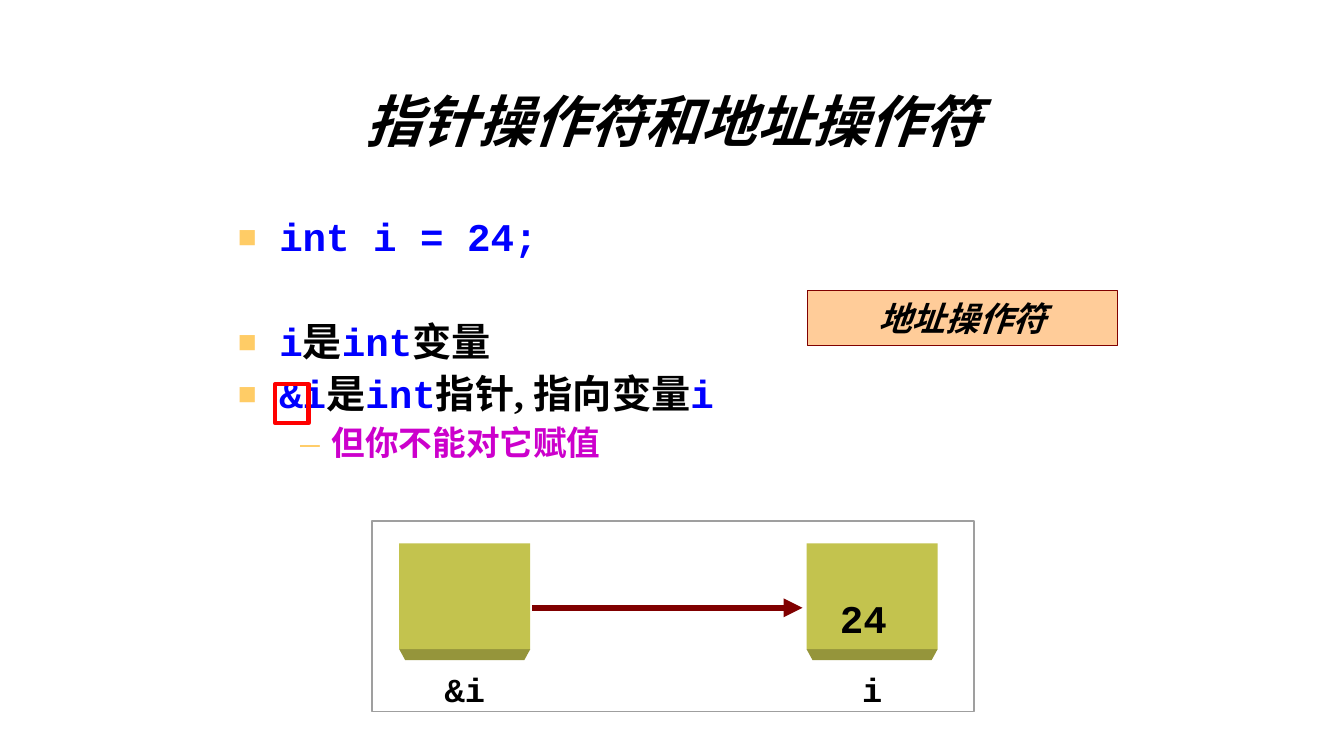
import lxml.etree
import pptx
import pptx.dml.color
import pptx.enum.shapes
import pptx.enum.text
import pptx.oxml.ns
import pptx.util

COLORS = {
    "text": "000000", "code": "0000FF", "note": "CC00CC", "bullet": "FFCC66",
    "frame": "9F9F9F", "cell": "C3C34E", "bevel": "95953B", "arrow": "800000",
    "callout": "FFCC99", "marker": "FF0000",
}
CODE_FONT, TEXT_FONT = "Courier New", "Times New Roman"
CENTER = pptx.enum.text.PP_ALIGN.CENTER
MIDDLE = pptx.enum.text.MSO_ANCHOR.MIDDLE
RECTANGLE = pptx.enum.shapes.MSO_SHAPE.RECTANGLE
inches = pptx.util.Inches


def rgb(name):
    """Return the named colour."""
    return pptx.dml.color.RGBColor.from_string(COLORS[name])


def add_xml(parent, tag, **attributes):
    """Append a drawing element and return it."""
    return lxml.etree.SubElement(parent, pptx.oxml.ns.qn(tag), attributes)


def place(shape, box):
    """Move a shape to a box given in inches."""
    shape.left, shape.top, shape.width, shape.height = map(inches, box)


def set_font(font, name, size, color="text", italic=False):
    """Apply a bold font."""
    font.name, font.size, font.bold, font.italic = name, pptx.util.Pt(size), True, italic
    font.color.rgb = rgb(color)


def paint(shape, fill=None, line=None, width=1):
    """Set fill and outline and remove the shadow."""
    shape.shadow.inherit = False
    if fill:
        shape.fill.solid()
        shape.fill.fore_color.rgb = rgb(fill)
    else:
        shape.fill.background()
    if line:
        shape.line.color.rgb = rgb(line)
        shape.line.width = pptx.util.Pt(width)
    else:
        shape.line.fill.background()


def add_rectangle(slide, box, **style):
    """Draw a painted rectangle."""
    shape = slide.shapes.add_shape(RECTANGLE, *map(inches, box))
    paint(shape, **style)
    return shape


def add_title(slide, box, text):
    """Fill the title with shadowed italic text."""
    title = slide.shapes.title
    place(title, box)
    frame = title.text_frame
    frame.auto_size = pptx.enum.text.MSO_AUTO_SIZE.NONE
    frame.vertical_anchor = MIDDLE
    paragraph = frame.paragraphs[0]
    paragraph.alignment, paragraph.line_spacing = CENTER, 0.85
    run = paragraph.add_run()
    run.text = text
    set_font(run.font, TEXT_FONT, 40, italic=True)
    effects = lxml.etree.Element(pptx.oxml.ns.qn("a:effectLst"))
    shadow = add_xml(effects, "a:outerShdw", dist="38100", dir="2700000", algn="tl")
    add_xml(shadow, "a:srgbClr", val=COLORS["text"])
    run.font.fill._xPr.find(pptx.oxml.ns.qn("a:solidFill")).addnext(effects)


def add_bullet(paragraph, character, percent, indent, hanging):
    """Give a paragraph a coloured hanging bullet."""
    properties = paragraph._p.get_or_add_pPr()
    properties.set("marL", str(inches(indent)))
    properties.set("indent", str(-inches(hanging)))
    add_xml(add_xml(properties, "a:buClr"), "a:srgbClr", val=COLORS["bullet"])
    add_xml(properties, "a:buSzPct", val=str(percent * 1000))
    add_xml(properties, "a:buFont", typeface=TEXT_FONT)
    add_xml(properties, "a:buChar", char=character)


def add_body(slide, box, items):
    """Fill the body with items of level, space before and styled runs."""
    body = slide.placeholders[1]
    place(body, box)
    frame = body.text_frame
    frame.auto_size = pptx.enum.text.MSO_AUTO_SIZE.NONE
    levels = [("■", 80, 0.41, 0.41, 28), ("–", 115, 0.93, 0.31, 24)]
    styles = {"code": CODE_FONT, "text": TEXT_FONT, "note": TEXT_FONT}
    for index, (level, space, runs) in enumerate(items):
        paragraph = frame.add_paragraph() if index else frame.paragraphs[0]
        *bullet, size = levels[level]
        paragraph.level = level
        add_bullet(paragraph, *bullet)
        paragraph.line_spacing = 0.95
        paragraph.space_before = pptx.util.Pt(space)
        set_font(paragraph.font, styles[runs[0][0]], size, runs[0][0])
        for style, text in runs:
            run = paragraph.add_run()
            run.text = text
            if len(runs) > 1:
                run.font.name = styles[style]
                run.font.color.rgb = rgb(style)


def add_callout(slide, box, text):
    """Draw the framed operator name."""
    callout = add_rectangle(slide, box, fill="callout", line="arrow", width=0.75)
    callout.text_frame.vertical_anchor = MIDDLE
    paragraph = callout.text_frame.paragraphs[0]
    paragraph.text, paragraph.alignment = text, CENTER
    set_font(paragraph.font, TEXT_FONT, 24, italic=True)


def add_memory_cell(slide, box, label, value=""):
    """Draw a bevelled memory cell with its value and a label below."""
    left, top, width, height = box
    bottom, slant, depth = top + height, 0.06, 0.11
    corners = [(left, bottom), (left + width, bottom),
               (left + width - slant, bottom + depth), (left + slant, bottom + depth)]
    points = [(inches(x), inches(y)) for x, y in corners]
    builder = slide.shapes.build_freeform(*points[0])
    builder.add_line_segments(points[1:])
    paint(builder.convert_to_shape(), fill="bevel")
    cell = add_rectangle(slide, box, fill="cell")
    if value:
        frame = cell.text_frame
        frame.vertical_anchor = pptx.enum.text.MSO_ANCHOR.BOTTOM
        frame.margin_left, frame.margin_bottom = inches(0.33), inches(0.08)
        paragraph = frame.paragraphs[0]
        paragraph.text, paragraph.alignment = value, pptx.enum.text.PP_ALIGN.LEFT
        set_font(paragraph.font, CODE_FONT, 28)
    caption = slide.shapes.add_textbox(*map(inches, (left, top + 1.2, width, 0.5)))
    caption.text_frame.word_wrap = True
    paragraph = caption.text_frame.paragraphs[0]
    paragraph.text, paragraph.alignment = label, CENTER
    set_font(paragraph.font, CODE_FONT, 24)


def add_memory_diagram(slide, box):
    """Draw the pointer cell, the variable cell and the arrow between them."""
    left, top, width, height = box
    add_rectangle(slide, box, line="frame")
    cell_width, cell_height, cell_top = 1.3, 1.05, top + 0.22
    pointer_left, variable_left = left + 0.27, left + 4.31
    add_memory_cell(slide, (pointer_left, cell_top, cell_width, cell_height), "&i")
    add_memory_cell(slide, (variable_left, cell_top, cell_width, cell_height), "i", "24")
    arrow_y = inches(top + 0.86)
    arrow = slide.shapes.add_connector(
        pptx.enum.shapes.MSO_CONNECTOR.STRAIGHT, inches(pointer_left + cell_width + 0.02),
        arrow_y, inches(variable_left - 0.04), arrow_y)
    arrow.line.color.rgb = rgb("arrow")
    arrow.line.width = pptx.util.Pt(4.5)
    add_xml(arrow.line._get_or_add_ln(), "a:tailEnd", type="triangle")
    add_xml(arrow._element.spPr, "a:effectLst")


def main():
    """Build and save the slide."""
    presentation = pptx.Presentation()
    presentation.slide_width, presentation.slide_height = inches(13.33), inches(7.5)
    slide = presentation.slides.add_slide(presentation.slide_layouts[1])
    add_title(slide, (2.41, 0.78, 8.53, 0.92), "指针操作符和地址操作符")
    add_body(slide, (2.26, 2.09, 9.41, 3.31), [
        (0, 0, [("code", "int i = 24;")]),
        (0, 43, [("code", "i"), ("text", "是"), ("code", "int"), ("text", "变量")]),
        (0, 5.6, [("code", "&i"), ("text", "是"), ("code", "int"),
                  ("text", "指针, 指向变量"), ("code", "i")]),
        (1, 4.8, [("note", "但你不能对它赋值")]),
    ])
    add_memory_diagram(slide, (3.69, 5.17, 5.97, 1.89))
    add_callout(slide, (8.01, 2.88, 3.07, 0.55), "地址操作符")
    add_rectangle(slide, (2.73, 3.81, 0.33, 0.39), line="marker", width=3)
    presentation.save("out.pptx")


if __name__ == "__main__":
    main()
